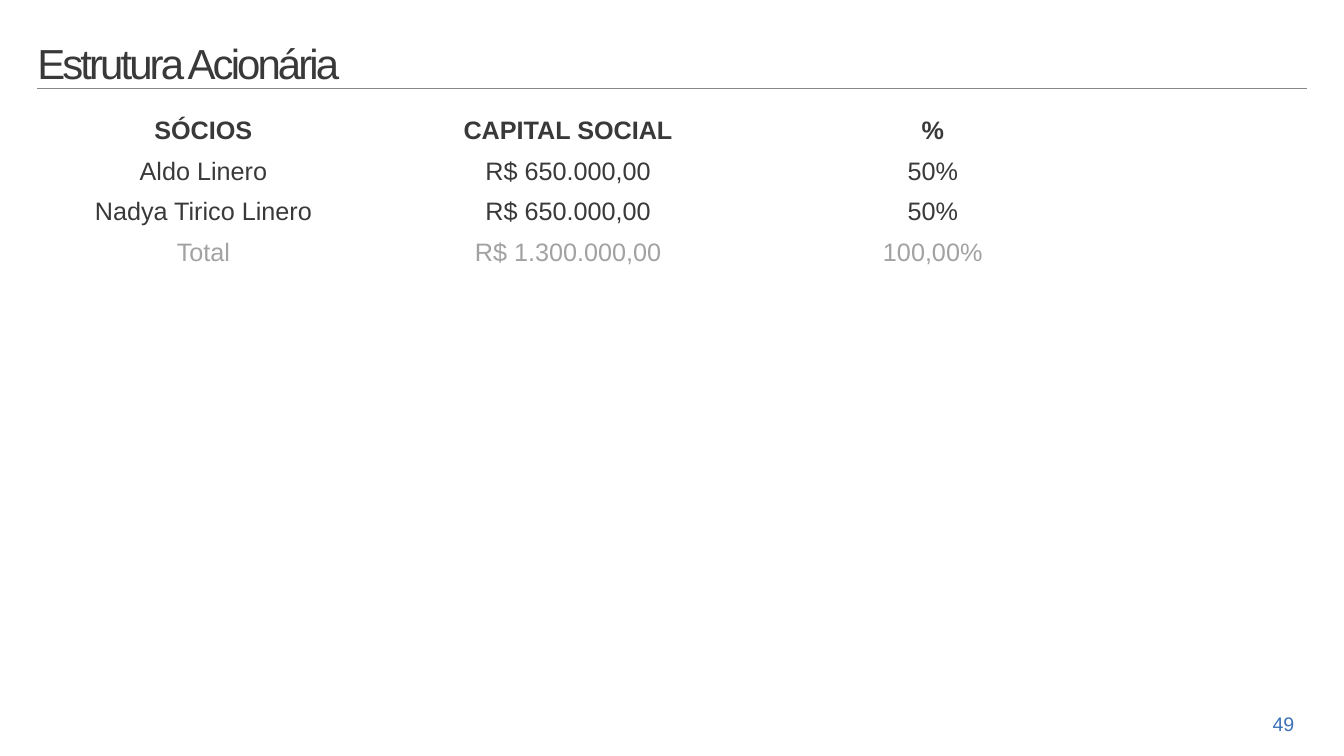
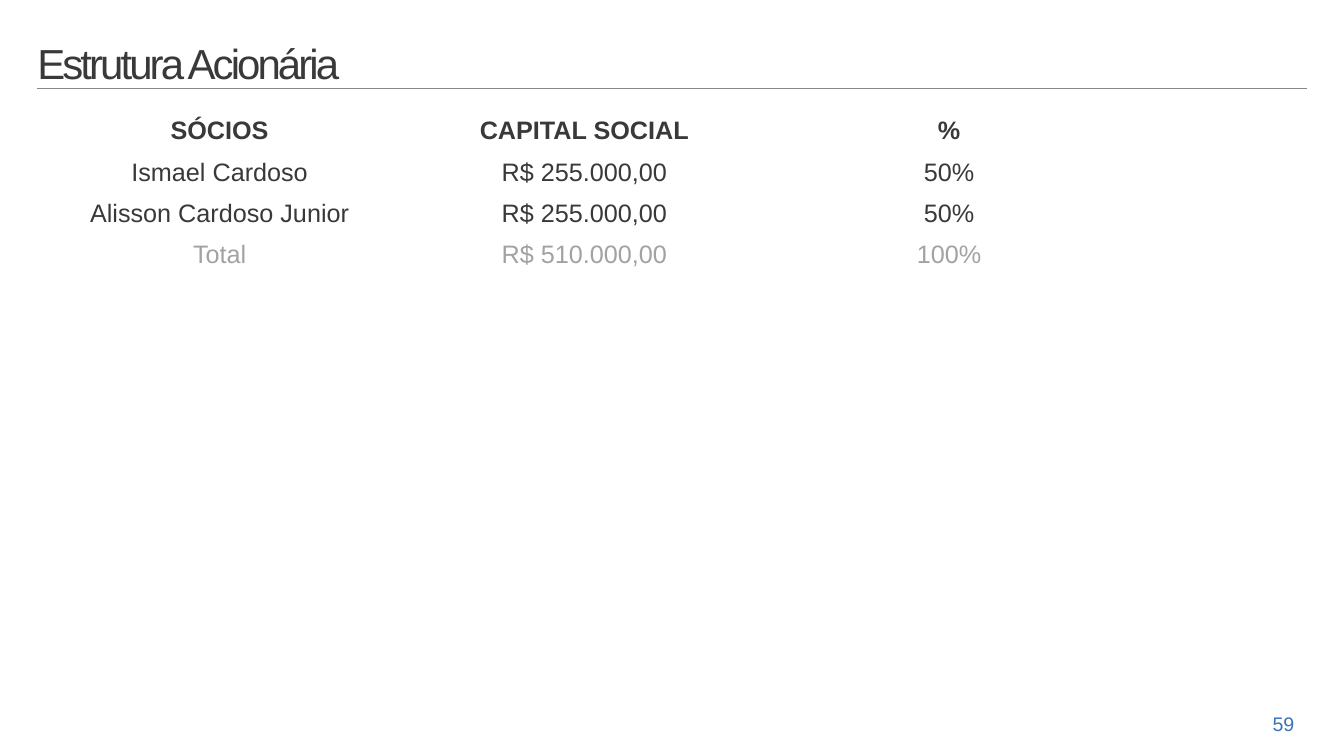
from lxml import etree
from pptx import Presentation, util as u
from pptx.dml.color import RGBColor
from pptx.enum import shapes, text
from pptx.oxml.ns import qn

COLORS = {"ink": "393939", "total": "A2A2A2", "rule": "888888", "page": "3B72B8"}
FONT = "Arial"
MARGIN = u.Cm(0.94)
COLUMN_WIDTH = u.Cm(9.19)
HEADER = ("SÓCIOS", "CAPITAL SOCIAL", "%")

# Content of each slide; the first table ends with two empty rows
companies = [
    dict(page="49", left=u.Cm(0.53), row_height=u.Cm(1.02), row_count=6,
         partners=[("Aldo Linero", "R$ 650.000,00", "50%"),
                   ("Nadya Tirico Linero", "R$ 650.000,00", "50%")],
         total=("Total", "R$ 1.300.000,00", "100,00%")),
    dict(page="59", left=MARGIN, row_height=u.Cm(1.04), row_count=4,
         partners=[("Ismael Cardoso", "R$ 255.000,00", "50%"),
                   ("Alisson Cardoso Junior", "R$ 255.000,00", "50%")],
         total=("Total", "R$ 510.000,00", "100%")),
]


def write(frame, words, size=18, color="ink", bold=False,
          align=text.PP_ALIGN.CENTER, line_spacing=None, tracking=None):
    paragraph = frame.paragraphs[0]
    paragraph.alignment = align
    paragraph.line_spacing = line_spacing
    run = paragraph.add_run()
    run.text = words
    run.font.name = FONT
    run.font.size = u.Pt(size)
    run.font.bold = bold
    run.font.color.rgb = RGBColor.from_string(COLORS[color])
    if tracking is not None:
        run.font._element.set("spc", str(round(tracking * 100)))


prs = Presentation()
prs.slide_width, prs.slide_height = u.Cm(33.87), u.Cm(19.05)

for company in companies:
    slide = prs.slides.add_slide(prs.slide_layouts[6])

    # Rule under the title
    rule = slide.shapes.add_connector(shapes.MSO_CONNECTOR.STRAIGHT,
                                      MARGIN, u.Cm(2.24), u.Cm(32.94), u.Cm(2.24))
    rule.line.color.rgb = RGBColor.from_string(COLORS["rule"])
    rule.line.width = u.Pt(0.85)
    etree.SubElement(rule._element.spPr, qn("a:effectLst"))

    # Page number
    page = slide.shapes.add_textbox(u.Cm(31.67), u.Cm(17.81), u.Cm(1.35), u.Cm(0.86))
    page.text_frame.word_wrap = True
    write(page.text_frame, company["page"], size=14, color="page")

    # Title
    title = slide.shapes.add_textbox(MARGIN, u.Cm(0.3), u.Cm(16.28), u.Cm(1.93))
    frame = title.text_frame
    frame.word_wrap = True
    frame.vertical_anchor = text.MSO_ANCHOR.BOTTOM
    frame.margin_left = frame.margin_right = frame.margin_bottom = 0
    frame.margin_top = u.Cm(0.18)
    write(frame, "Estrutura Acionária", size=30, align=text.PP_ALIGN.LEFT,
          line_spacing=0.85, tracking=-2.1)

    # Shareholder table
    row_count, row_height = company["row_count"], company["row_height"]
    shareholders = slide.shapes.add_table(
        row_count, len(HEADER), company["left"], u.Cm(2.82),
        COLUMN_WIDTH * len(HEADER), row_height * row_count).table
    shareholders.first_row = shareholders.horz_banding = False
    for column in shareholders.columns:
        column.width = COLUMN_WIDTH
    for row in shareholders.rows:
        row.height = row_height
    for cell in shareholders.iter_cells():
        cell.fill.background()

    lines = [HEADER, *company["partners"], company["total"]]
    for r, line in enumerate(lines):
        for c, words in enumerate(line):
            write(shareholders.cell(r, c).text_frame, words, bold=r == 0,
                  color="total" if r == len(lines) - 1 else "ink")

prs.save("out.pptx")
